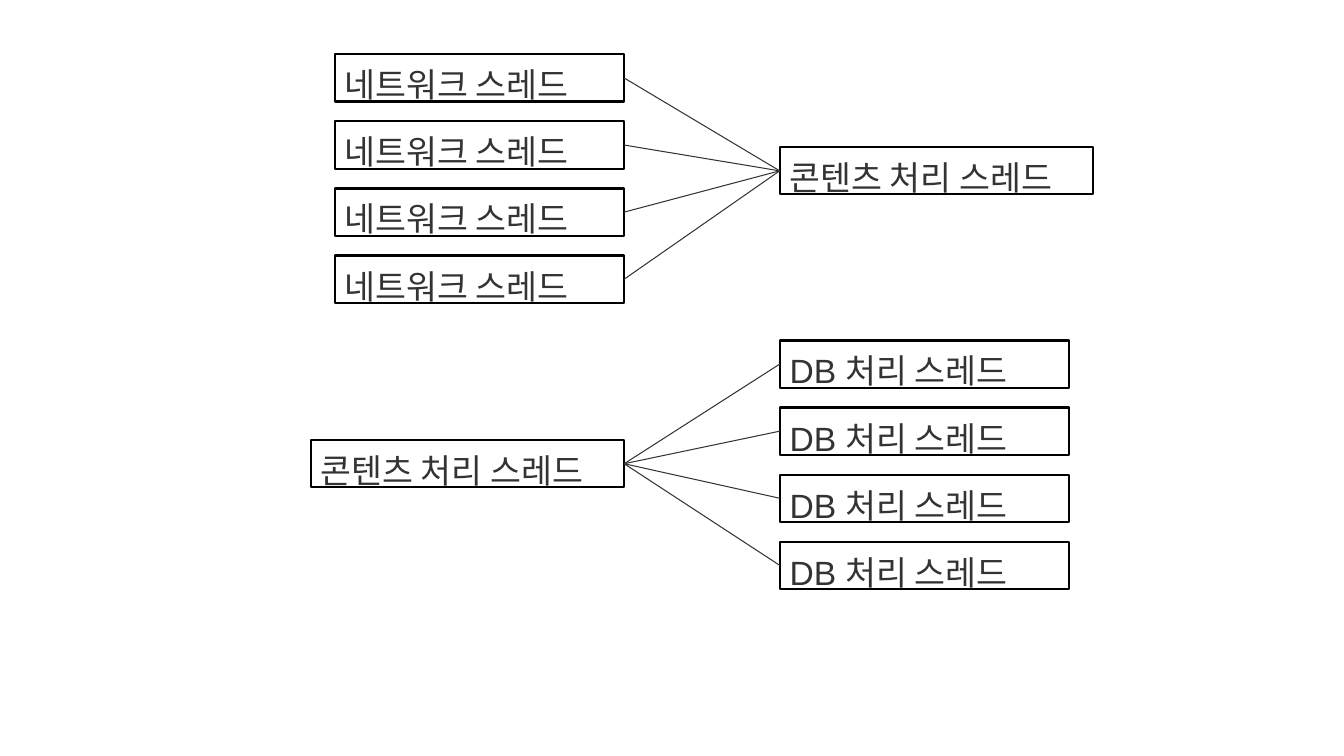
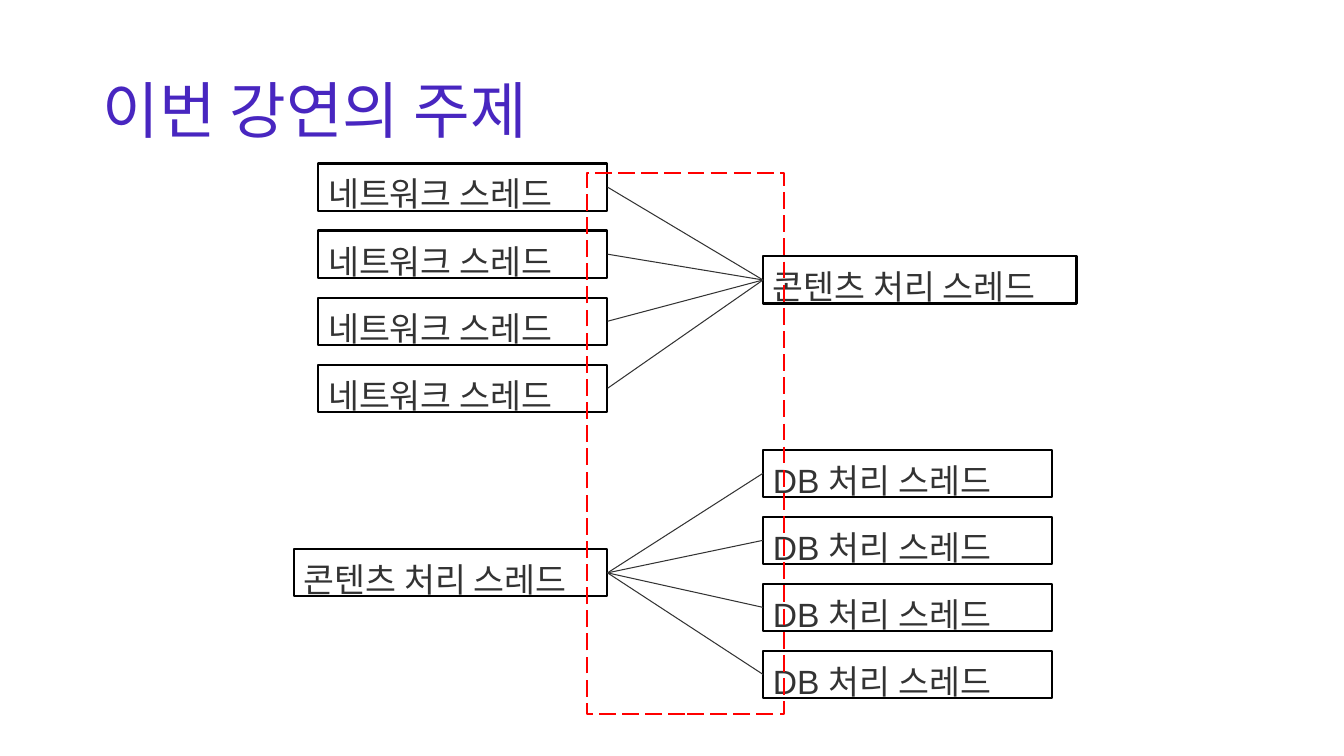
from lxml.etree import SubElement
from pptx import Presentation
from pptx.dml.color import RGBColor
from pptx.enum.dml import MSO_LINE
from pptx.enum.shapes import MSO_CONNECTOR, MSO_SHAPE
from pptx.enum.text import MSO_ANCHOR, PP_ALIGN
from pptx.oxml.ns import qn
from pptx.util import Cm, Pt

FONT = "Arial"
TITLE_COLOR = "4826C0"
TEXT_COLOR = "333333"
BOX_COLOR = "000000"
FOCUS_COLOR = "FF0000"

TITLE_ONLY, BLANK = 5, 6
TOP, LEFT, BOTTOM, RIGHT = range(4)

NETWORK = "네트워크 스레드"
CONTENT = "콘텐츠 처리 스레드"
DATABASE = "DB 처리 스레드"

THREAD_COUNT = 4
THREAD_WIDTH = 7.29
CONTENT_WIDTH = 7.9
BOX_HEIGHT = 1.19
THREAD_PITCH = 1.69
LEFT_EDGE = 15.73
RIGHT_EDGE = 19.65


def color(hex_value):
    return RGBColor.from_string(hex_value)


def write(paragraph, text, size, hex_value):
    paragraph.alignment = PP_ALIGN.LEFT
    run = paragraph.add_run()
    run.text = text
    run.font.name = FONT
    run.font.size = Pt(size)
    run.font.color.rgb = color(hex_value)


def add_title(slide, text):
    title = slide.shapes.title
    title.left, title.top = Cm(2.33), Cm(1.01)
    title.width, title.height = Cm(29.21), Cm(3.68)
    frame = title.text_frame
    frame.word_wrap = True
    frame.vertical_anchor = MSO_ANCHOR.MIDDLE
    heading = frame.paragraphs[0]
    heading.line_spacing = 0.9
    write(heading, text, 44, TITLE_COLOR)


def add_outline(slide, left, top, width, height, hex_value):
    outline = slide.shapes.add_shape(
        MSO_SHAPE.RECTANGLE, Cm(left), Cm(top), Cm(width), Cm(height))
    outline.shadow.inherit = False
    outline.fill.background()
    outline.line.color.rgb = color(hex_value)
    outline.line.width = Pt(1.5)
    return outline


def add_thread(slide, text, left, top, width):
    thread = add_outline(slide, left, top, width, BOX_HEIGHT, BOX_COLOR)
    frame = thread.text_frame
    frame.word_wrap = True
    frame.vertical_anchor = MSO_ANCHOR.TOP
    frame.margin_left = frame.margin_right = Cm(0.25)
    frame.margin_top = frame.margin_bottom = Cm(0.25)
    write(frame.paragraphs[0], text, 24, TEXT_COLOR)
    return thread


def add_stack(slide, text, left, top):
    return [add_thread(slide, text, left, top + i * THREAD_PITCH, THREAD_WIDTH)
            for i in range(THREAD_COUNT)]


def add_link(slide, source, target):
    link = slide.shapes.add_connector(MSO_CONNECTOR.STRAIGHT, 0, 0, 0, 0)
    link.begin_connect(source, RIGHT)
    link.end_connect(target, LEFT)
    link.line.color.rgb = color(TEXT_COLOR)
    link.line.width = Pt(0.75)
    SubElement(link.element.spPr, qn("a:effectLst"))


def add_thread_diagram(slide, dx=0, dy=0):
    left_edge, right_edge = LEFT_EDGE + dx, RIGHT_EDGE + dx

    networks = add_stack(slide, NETWORK, left_edge - THREAD_WIDTH, 1.37 + dy)
    receiver = add_thread(slide, CONTENT, right_edge, 3.71 + dy, CONTENT_WIDTH)
    for network in networks:
        add_link(slide, network, receiver)

    sender = add_thread(
        slide, CONTENT, left_edge - CONTENT_WIDTH, 11.09 + dy, CONTENT_WIDTH)
    for database in add_stack(slide, DATABASE, right_edge, 8.58 + dy):
        add_link(slide, sender, database)


def add_focus(slide, left, top, width, height):
    focus = add_outline(slide, left, top, width, height, FOCUS_COLOR)
    focus.line.dash_style = MSO_LINE.LONG_DASH


def main():
    deck = Presentation()
    deck.slide_width, deck.slide_height = Cm(33.87), Cm(19.05)

    overview = deck.slides.add_slide(deck.slide_layouts[BLANK])
    add_thread_diagram(overview)

    topic = deck.slides.add_slide(deck.slide_layouts[TITLE_ONLY])
    add_title(topic, "이번 강연의 주제")
    add_thread_diagram(topic, dx=-0.42, dy=2.75)
    add_focus(topic, 14.79, 4.35, 4.96, 13.64)

    deck.save("out.pptx")


if __name__ == "__main__":
    main()
